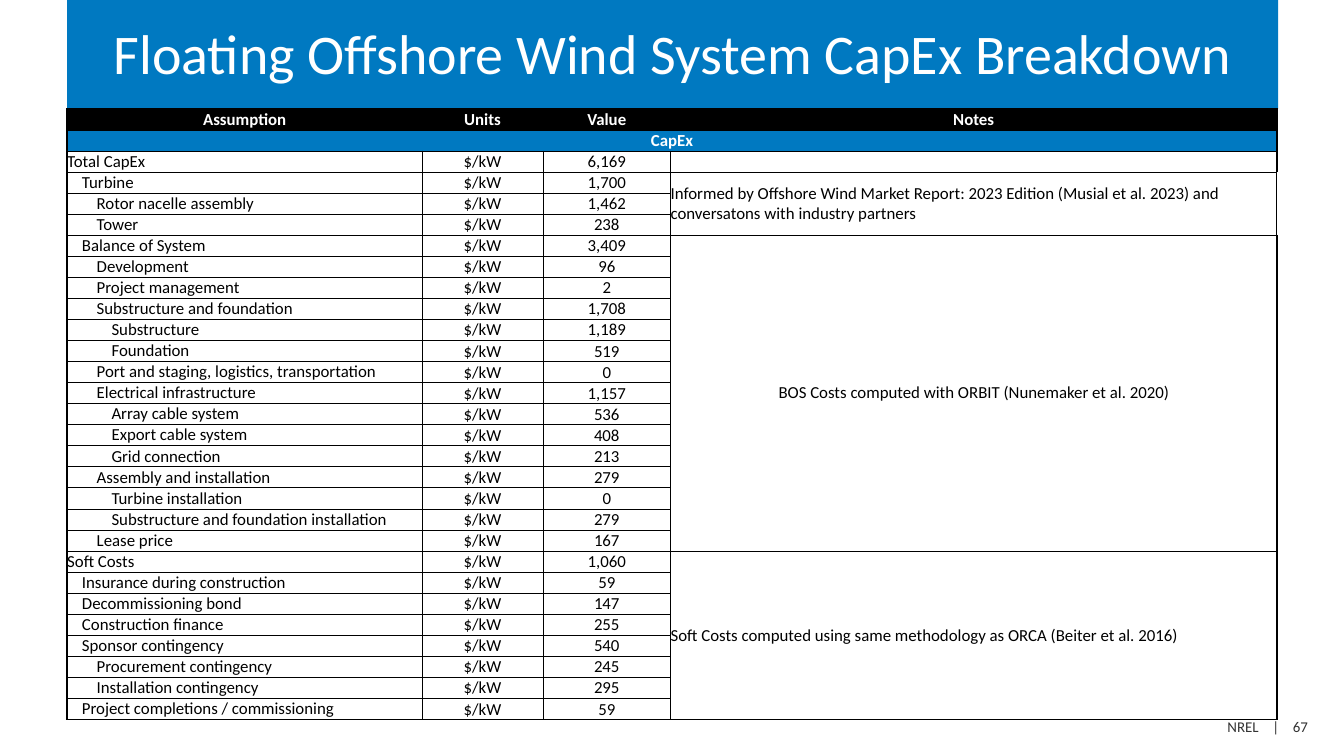
import dataclasses
import typing

import lxml.etree
import pptx
import pptx.dml.color
import pptx.enum.shapes
import pptx.enum.text
import pptx.oxml.ns
import pptx.util

RGB = pptx.dml.color.RGBColor
BLACK = RGB(0x00, 0x00, 0x00)
WHITE = RGB(0xFF, 0xFF, 0xFF)
BLUE = RGB(0x00, 0x79, 0xC1)
GREY = RGB(0x33, 0x33, 0x33)

FONT = "Calibri"
UNIT = "$/kW"
INDENT = 0.11
THIN, THICK = 0.5, 1

LEFT = pptx.enum.text.PP_ALIGN.LEFT
CENTER = pptx.enum.text.PP_ALIGN.CENTER
RIGHT = pptx.enum.text.PP_ALIGN.RIGHT
MIDDLE = pptx.enum.text.MSO_ANCHOR.MIDDLE
BOTTOM = pptx.enum.text.MSO_ANCHOR.BOTTOM

# A 16:9 slide
SLIDE_W = 10
SLIDE_H = SLIDE_W * 9 / 16
MARGIN, TITLE_H = 0.5, 0.81
TABLE_W, TABLE_H = 9, 4.55
COLUMNS = (2.64, 0.9, 0.95, 4.51)
HEADINGS = ("Assumption", "Units", "Value", "Notes")


class Cost(typing.NamedTuple):
    level: int
    name: str
    value: str


@dataclasses.dataclass
class Note:
    row: int
    rows: int
    text: str
    align: typing.Any = LEFT
    right: float = THICK


COSTS = [
    Cost(0, "Total CapEx", "6,169"),
    Cost(1, "Turbine", "1,700"),
    Cost(2, "Rotor nacelle assembly", "1,462"),
    Cost(2, "Tower", "238"),
    Cost(1, "Balance of System", "3,409"),
    Cost(2, "Development", "96"),
    Cost(2, "Project management", "2"),
    Cost(2, "Substructure and foundation", "1,708"),
    Cost(3, "Substructure", "1,189"),
    Cost(3, "Foundation", "519"),
    Cost(2, "Port and staging, logistics, transportation", "0"),
    Cost(2, "Electrical infrastructure", "1,157"),
    Cost(3, "Array cable system", "536"),
    Cost(3, "Export cable system", "408"),
    Cost(3, "Grid connection", "213"),
    Cost(2, "Assembly and installation", "279"),
    Cost(3, "Turbine installation", "0"),
    Cost(3, "Substructure and foundation installation", "279"),
    Cost(2, "Lease price", "167"),
    Cost(0, "Soft Costs", "1,060"),
    Cost(1, "Insurance during construction", "59"),
    Cost(1, "Decommissioning bond", "147"),
    Cost(1, "Construction finance", "255"),
    Cost(1, "Sponsor contingency", "540"),
    Cost(2, "Procurement contingency", "245"),
    Cost(2, "Installation contingency", "295"),
    Cost(1, "Project completions / commissioning", "59"),
]

# Rows count from the table's top, with two heading rows first
NOTES = [
    Note(2, 1, ""),
    Note(3, 3, "Informed by Offshore Wind Market Report: 2023 Edition (Musial et al. 2023) "
               "and conversatons with industry partners", right=THIN),
    Note(6, 15, "BOS Costs computed with ORBIT (Nunemaker et al. 2020)", CENTER),
    Note(21, 8, "Soft Costs computed using same methodology as ORCA (Beiter et al. 2016)"),
]


def inches(*values: float) -> list:
    return [pptx.util.Inches(v) for v in values]


def write(p, text: str, *, size: float = 9, color: RGB = BLACK, bold: bool = False,
          align=LEFT, spacing: float = 0) -> None:
    """Add one run to a paragraph; an empty text only sets the paragraph's size."""
    p.alignment = align
    if not text:
        end = lxml.etree.SubElement(p._p, pptx.oxml.ns.qn("a:endParaRPr"))
        end.set("sz", str(int(size * 100)))
        return
    r = p.add_run()
    r.text = text
    r.font.name, r.font.size, r.font.bold = FONT, pptx.util.Pt(size), bold
    r.font.color.rgb = color
    if spacing:
        r.font._element.set("spc", str(int(spacing * 100)))


def set_borders(cell, left: float, right: float, top: float, bottom: float) -> None:
    tc_pr = cell._tc.get_or_add_tcPr()
    sides = zip(("lnL", "lnR", "lnT", "lnB"), (left, right, top, bottom))
    for i, (tag, width) in enumerate(sides):
        ln = lxml.etree.Element(pptx.oxml.ns.qn(f"a:{tag}"), w=str(pptx.util.Pt(width)))
        fill = lxml.etree.SubElement(ln, pptx.oxml.ns.qn("a:solidFill"))
        lxml.etree.SubElement(fill, pptx.oxml.ns.qn("a:srgbClr"), val=str(BLACK))
        tc_pr.insert(i, ln)


def fill_cell(cell, text: str, *, fill: typing.Optional[RGB] = None, anchor=MIDDLE,
              indent: float = 0, borders: tuple = (THIN,) * 4, **fmt) -> None:
    cell.margin_left = pptx.util.Inches(indent)
    cell.margin_right = cell.margin_top = cell.margin_bottom = 0
    cell.vertical_anchor = anchor
    if fill is None:
        cell.fill.background()
    else:
        cell.fill.solid()
        cell.fill.fore_color.rgb = fill
    set_borders(cell, *borders)
    write(cell.text_frame.paragraphs[0], text, **fmt)


def add_title(s) -> None:
    sp = s.shapes.add_shape(pptx.enum.shapes.MSO_SHAPE.RECTANGLE,
                            *inches(MARGIN, 0, 9.01, TITLE_H))
    sp.shadow.inherit = False
    sp.fill.solid()
    sp.fill.fore_color.rgb = BLUE
    sp.line.fill.background()
    tf = sp.text_frame
    tf.word_wrap, tf.vertical_anchor = True, MIDDLE
    tf.margin_left, tf.margin_top, tf.margin_right, tf.margin_bottom = inches(0.1, 0.13, 0.1, 0.05)
    p = tf.paragraphs[0]
    p.line_spacing = pptx.util.Pt(28)
    write(p, "Floating Offshore Wind System CapEx Breakdown", size=30, color=WHITE, align=CENTER)


def add_footer(s) -> None:
    tf = s.shapes.add_textbox(*inches(7.34, 5.29, 2.49, 0.24)).text_frame
    tf.word_wrap = True
    for text, spacing in (("NREL", 0), (" ", 5.4), ("|", 0), (" ", 5.4), ("67", 0)):
        write(tf.paragraphs[0], text, size=8, color=GREY, align=RIGHT, spacing=spacing)


def add_cost_table(s) -> None:
    rows = len(COSTS) + 2
    table = s.shapes.add_table(rows, len(COLUMNS),
                               *inches(MARGIN, TITLE_H, TABLE_W, TABLE_H)).table
    table.first_row = table.horz_banding = False
    for column, width in zip(table.columns, COLUMNS):
        column.width = pptx.util.Inches(width)
    for row in table.rows:
        row.height = pptx.util.Inches(TABLE_H / rows)

    # Heading rows
    last = len(COLUMNS) - 1
    head = dict(color=WHITE, bold=True, align=CENTER)
    for c, heading in enumerate(HEADINGS):
        left, right = THICK if c == 0 else THIN, THICK if c == last else THIN
        fill_cell(table.cell(0, c), heading, fill=BLACK,
                  borders=(left, right, THICK, THICK), **head)
        fill_cell(table.cell(1, c), "" if c else "CapEx", fill=BLUE, anchor=BOTTOM,
                  borders=(THICK, THICK, THICK, THIN), **head)
    table.cell(1, 0).merge(table.cell(1, last))

    # Cost rows
    for r, cost in enumerate(COSTS, start=2):
        fill_cell(table.cell(r, 0), cost.name, indent=cost.level * INDENT,
                  borders=(THICK, THIN, THIN, THIN))
        for c, text in ((1, UNIT), (2, cost.value)):
            fill_cell(table.cell(r, c), text, anchor=BOTTOM, align=CENTER)

    # Notes beside groups of rows
    for note in NOTES:
        for i in range(note.rows):
            fill_cell(table.cell(note.row + i, last), "" if i else note.text,
                      align=note.align, borders=(THIN, note.right, THIN, THIN))
        if note.rows > 1:
            table.cell(note.row, last).merge(table.cell(note.row + note.rows - 1, last))


def main() -> None:
    prs = pptx.Presentation()
    prs.slide_width, prs.slide_height = inches(SLIDE_W, SLIDE_H)
    s = prs.slides.add_slide(prs.slide_layouts[6])
    add_footer(s)
    add_title(s)
    add_cost_table(s)
    prs.save("out.pptx")


if __name__ == "__main__":
    main()
